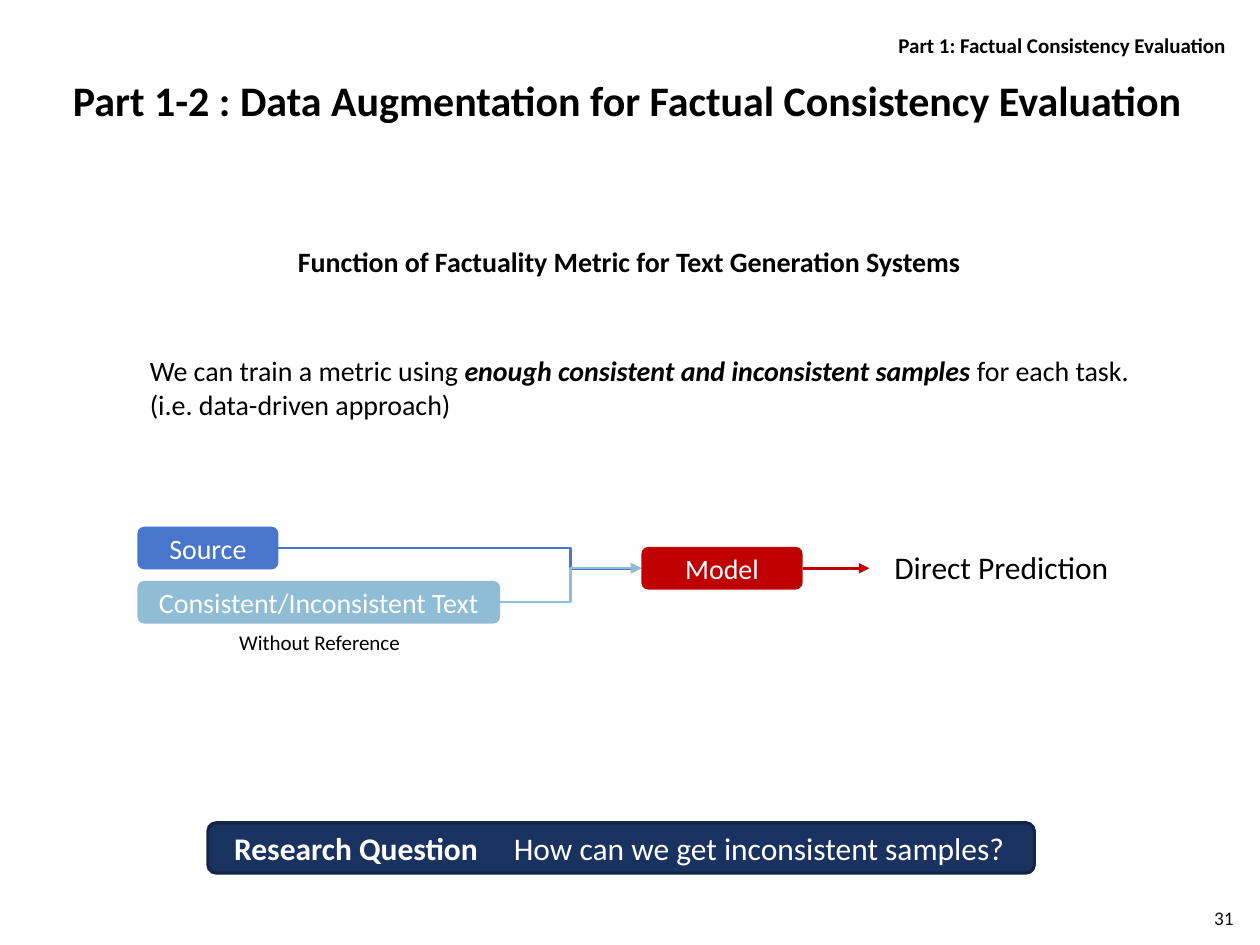
from dataclasses import dataclass

from lxml.etree import SubElement
from pptx import Presentation
from pptx.dml.color import RGBColor
from pptx.enum.shapes import MSO_CONNECTOR, MSO_SHAPE
from pptx.enum.text import MSO_ANCHOR, PP_ALIGN
from pptx.oxml.ns import qn
from pptx.util import Inches, Pt

COLORS = {
    "black": "000000",
    "number": "0D0D0D",
    "white": "FFFFFF",
    "source": "4876CD",
    "text": "8FBDD5",
    "model": "C00000",
    "banner": "1A3260",
    "banner_edge": "132547",
}


@dataclass(frozen=True)
class Span:
    """A run of text with its emphasis."""
    text: str
    bold: bool = False
    italic: bool = False


@dataclass(frozen=True)
class Label:
    """A text box; each line is a tuple of spans."""
    box: tuple[float, float, float, float]
    lines: tuple[tuple[Span, ...], ...]
    size: int
    color: str = "black"
    align: PP_ALIGN = PP_ALIGN.LEFT
    anchor: MSO_ANCHOR = MSO_ANCHOR.TOP
    wrap: bool = True


@dataclass(frozen=True)
class Block:
    """A rounded box, with a caption unless it is empty."""
    box: tuple[float, float, float, float]
    fill: str
    caption: str = ""
    edge: str = ""


@dataclass(frozen=True)
class Arrow:
    """An arrow; a bend is the share of the width before the turn."""
    start: tuple[float, float]
    end: tuple[float, float]
    color: str
    bend: float | None = None


LABELS = (
    Label((8.85, 7.18, 1.04, 0.21), ((Span("31"),),), 11, "number",
          PP_ALIGN.RIGHT, MSO_ANCHOR.MIDDLE),
    Label((7, 0.21, 2.83, 0.3), ((Span("Part 1: Factual Consistency Evaluation", True),),), 12,
          align=PP_ALIGN.RIGHT, wrap=False),
    Label((0.48, 0.54, 9.23, 0.47),
          ((Span("Part 1-2 : Data Augmentation for Factual Consistency Evaluation", True),),), 24),
    Label((1.33, 1.89, 7.33, 0.37),
          ((Span("Function of Factuality Metric for Text Generation Systems", True),),), 16,
          align=PP_ALIGN.CENTER),
    Label((1.09, 2.76, 7.99, 0.64),
          ((Span("We can train a metric using "),
            Span("enough consistent and inconsistent samples ", True, True),
            Span("for each task.")),
           (Span("(i.e. data-driven approach)"),)), 16),
    Label((7, 4.3, 1.95, 0.4), ((Span("Direct Prediction"),),), 18),
    Label((1.8, 4.95, 1.48, 0.3), ((Span("Without Reference"),),), 12),
    Label((1.76, 6.53, 2.22, 0.4), ((Span("Research Question", True),),), 18, "white"),
    Label((3.98, 6.53, 4.23, 0.4), ((Span("How can we get inconsistent samples?"),),), 18, "white"),
)

BLOCKS = (
    Block((5.09, 4.34, 1.28, 0.34), "model", "Model"),
    Block((1.09, 4.18, 1.12, 0.34), "source", "Source"),
    Block((1.09, 4.61, 2.88, 0.34), "text", "Consistent/Inconsistent Text"),
    Block((1.65, 6.53, 6.56, 0.4), "banner", edge="banner_edge"),
)

ARROWS = (
    Arrow((6.37, 4.51), (6.9, 4.51), "model"),
    Arrow((2.21, 4.35), (5.09, 4.51), "source", 0.805),
    Arrow((3.97, 4.78), (5.09, 4.51), "text", 0.5),
)


def rgb(name: str) -> RGBColor:
    """Return the named colour."""
    return RGBColor.from_string(COLORS[name])


def add_span(paragraph, span: Span, size: int, color: str) -> None:
    """Add one formatted run."""
    run = paragraph.add_run()
    run.text = span.text
    font = run.font
    font.name, font.size = "Calibri", Pt(size)
    font.bold, font.italic = span.bold, span.italic
    font.color.rgb = rgb(color)


def draw_label(slide, label: Label) -> None:
    """Draw a text box."""
    frame = slide.shapes.add_textbox(*map(Inches, label.box)).text_frame
    frame.word_wrap = label.wrap
    frame.vertical_anchor = label.anchor
    for index, line in enumerate(label.lines):
        paragraph = frame.add_paragraph() if index else frame.paragraphs[0]
        paragraph.alignment = label.align
        for span in line:
            add_span(paragraph, span, label.size, label.color)


def draw_block(slide, block: Block) -> None:
    """Draw a rounded box."""
    shape = slide.shapes.add_shape(MSO_SHAPE.ROUNDED_RECTANGLE, *map(Inches, block.box))
    shape.shadow.inherit = False
    shape.fill.solid()
    shape.fill.fore_color.rgb = rgb(block.fill)
    if block.edge:
        shape.line.color.rgb = rgb(block.edge)
        shape.line.width = Pt(1.75)
    else:
        shape.line.fill.background()
    if block.caption:
        frame = shape.text_frame
        frame.vertical_anchor = MSO_ANCHOR.MIDDLE
        paragraph = frame.paragraphs[0]
        paragraph.alignment = PP_ALIGN.CENTER
        add_span(paragraph, Span(block.caption), 16, "white")


def draw_arrow(slide, arrow: Arrow) -> None:
    """Draw a straight or bent arrow."""
    kind = MSO_CONNECTOR.STRAIGHT if arrow.bend is None else MSO_CONNECTOR.ELBOW
    connector = slide.shapes.add_connector(kind, *map(Inches, arrow.start + arrow.end))
    connector.line.color.rgb = rgb(arrow.color)
    connector.line.width = Pt(1.5)
    properties = connector.element.spPr
    SubElement(properties.find(qn("a:ln")), qn("a:tailEnd"), type="triangle")
    SubElement(properties, qn("a:effectLst"))
    if arrow.bend is not None:
        guides = properties.find(qn("a:prstGeom")).find(qn("a:avLst"))
        SubElement(guides, qn("a:gd"), name="adj1", fmla=f"val {round(arrow.bend * 100000)}")


def main() -> None:
    """Build and save the slide."""
    deck = Presentation()
    deck.slide_width, deck.slide_height = Inches(10), Inches(7.5)
    slide = deck.slides.add_slide(deck.slide_layouts[6])
    for block in BLOCKS:
        draw_block(slide, block)
    for label in LABELS:
        draw_label(slide, label)
    for arrow in ARROWS:
        draw_arrow(slide, arrow)
    deck.save("out.pptx")


if __name__ == "__main__":
    main()
